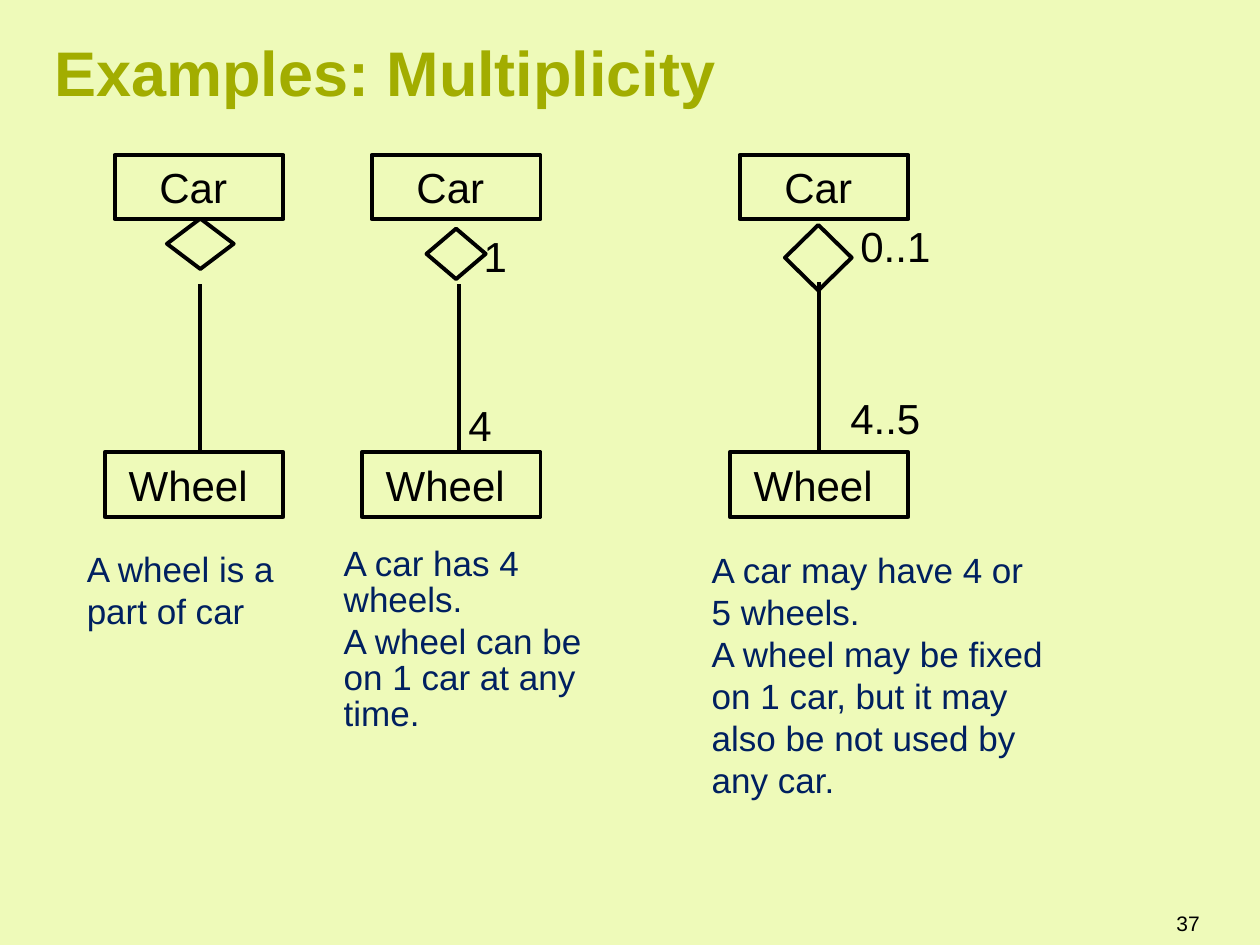
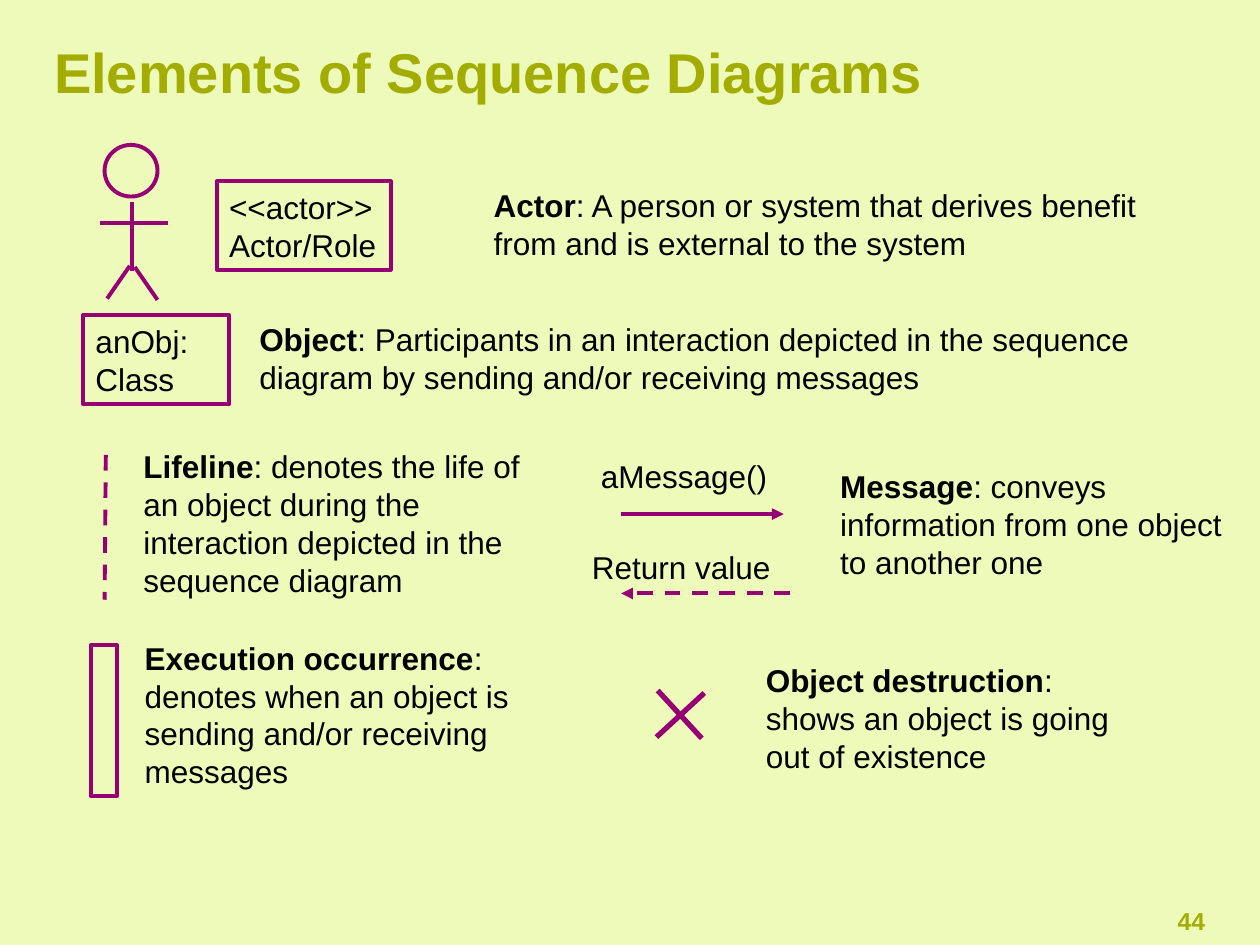
"""Build two UML slides: aggregation multiplicity and sequence diagram elements."""
from dataclasses import dataclass

from lxml import etree
from pptx import Presentation
from pptx import util as u
from pptx.dml.color import RGBColor
from pptx.enum import dml, shapes, text
from pptx.oxml.ns import qn


@dataclass(frozen=True)
class Theme:
    background: str = "EEFAB9"
    accent: str = "A2AD00"
    ink: str = "000000"
    note: str = "002060"
    symbol: str = "970074"
    font: str = "Arial"
    node_size: int = 24
    note_size: int = 20
    term_size: int = 18
    stroke: float = 2.25
    heavy_stroke: float = 3


def rgb(value):
    return RGBColor.from_string(value)


class Deck:
    """Draws styled elements on a grid of 100 columns by 75 rows."""

    def __init__(self):
        self.theme = Theme()
        self.prs = Presentation()
        self.prs.slide_width, self.prs.slide_height = u.Inches(10), u.Inches(7.5)
        fill = self.prs.slide_master.background.fill
        fill.solid()
        fill.fore_color.rgb = rgb(self.theme.background)
        self.slide = None

    def cells(self, *counts):
        return [round(count * self.prs.slide_width / 100) for count in counts]

    def style(self, frame, size, color, bold=False, align=text.PP_ALIGN.LEFT):
        for paragraph in frame.paragraphs:
            paragraph.alignment = align
            for run in paragraph.runs:
                run.font.name, run.font.size = self.theme.font, u.Pt(size)
                run.font.bold = bold
                run.font.color.rgb = rgb(color)

    def start(self, heading, size):
        self.slide = self.prs.slides.add_slide(self.prs.slide_layouts[5])
        title = self.slide.shapes.title
        title.left, title.top, title.width, title.height = self.cells(4.3, 2.1, 92.5, 7.1)
        frame = title.text_frame
        frame.text = heading
        frame.margin_left = 0
        frame.auto_size = text.MSO_AUTO_SIZE.NONE
        frame.vertical_anchor = text.MSO_ANCHOR.MIDDLE
        self.style(frame, size, self.theme.accent, bold=True)

    def label(self, place, words, size, color=None, **look):
        frame = self.slide.shapes.add_textbox(*self.cells(*place)).text_frame
        frame.word_wrap = True
        frame.text = words
        self.style(frame, size, color or self.theme.ink, **look)
        return frame

    def term(self, place, name, meaning):
        frame = self.label(place, name, self.theme.term_size)
        frame.paragraphs[0].add_run().text = f": {meaning}"
        self.style(frame, self.theme.term_size, self.theme.ink)
        frame.paragraphs[0].runs[0].font.bold = True

    def outline(self, kind, place, color):
        shape = self.slide.shapes.add_shape(kind, *self.cells(*place))
        shape.shadow.inherit = False
        shape.fill.background()
        shape.line.color.rgb = rgb(color)
        shape.line.width = u.Pt(self.theme.stroke)
        return shape

    def box(self, place, words, size, color, align=text.PP_ALIGN.LEFT):
        frame = self.outline(shapes.MSO_SHAPE.RECTANGLE, place, color).text_frame
        frame.word_wrap = True
        frame.vertical_anchor = text.MSO_ANCHOR.MIDDLE
        frame.text = words
        self.style(frame, size, self.theme.ink, align=align)

    def line(self, ends, color, width=None, dashed=False, arrow=False):
        link = self.slide.shapes.add_connector(shapes.MSO_CONNECTOR.STRAIGHT, *self.cells(*ends))
        link.line.color.rgb = rgb(color)
        link.line.width = u.Pt(width or self.theme.stroke)
        if dashed:
            link.line.dash_style = dml.MSO_LINE.DASH
        properties = link._element.spPr
        if arrow:
            etree.SubElement(properties.find(qn("a:ln")), qn("a:tailEnd"), type="triangle")
        etree.SubElement(properties, qn("a:effectLst"))


def multiplicity(deck):
    theme = deck.theme
    deck.start("Examples: Multiplicity", 36)
    examples = [
        (9.1, 15.9, (13.25, 17.35, 5.3, 4), 22.5, (18.1, 7.7), "A wheel is a part of car"),
        (29.5, 36.4, (33.85, 18.15, 4.7, 4), 22.5, (23.6, 16),
         "A car has 4 wheels.\nA wheel can be on 1 car at any time."),
        (58.7, 65, (62.3, 17.85, 5.3, 5.2), 22.4, (28.3, 21.2),
         "A car may have 4 or 5 wheels.\n"
         "A wheel may be fixed on 1 car, but it may also be not used by any car."),
    ]
    notes = []
    for left, axis, diamond, link_top, note_size, note in examples:
        for place, name in (((left, 12.3, 13.4, 5.1), "Car "),
                            ((left - 0.8, 35.9, 14.2, 5.1), "Wheel ")):
            deck.box(place, name, theme.node_size, theme.ink, text.PP_ALIGN.CENTER)
        deck.outline(shapes.MSO_SHAPE.DIAMOND, diamond, theme.ink)
        deck.line((axis, 36, axis, link_top), theme.ink)
        notes.append(deck.label((left - 3.2, 43, *note_size), note, theme.note_size, theme.note))

    tight = notes[1].paragraphs
    for paragraph in tight:
        paragraph.line_spacing = 0.85
    tight[1].space_before = u.Pt(4)

    for left, top, width, count in ((37.4, 17.8, 3.9, "1"), (36.2, 31.2, 4.7, "4"),
                                    (67.3, 17, 7.9, "0..1"), (66.5, 30.7, 8.7, "4..5")):
        deck.label((left, top, width, 5), count, theme.node_size)
    page = deck.label((80.7, 71.3, 15.5, 4), "37", 12, align=text.PP_ALIGN.RIGHT)
    page.vertical_anchor = text.MSO_ANCHOR.MIDDLE


def sequence_elements(deck):
    theme = deck.theme
    deck.start("Elements of Sequence Diagrams", 32)

    deck.outline(shapes.MSO_SHAPE.OVAL, (8.3, 11.5, 4.2, 4.1), theme.symbol)
    body, arms = (10.5, 16, 10.5, 21.5), (7.9, 17.7, 13.3, 17.7)
    left_leg, right_leg = (10.3, 21.1, 8.5, 23.7), (10.7, 21.2, 12.5, 23.8)
    for limb in (body, arms, left_leg, right_leg):
        deck.line(limb, theme.symbol)

    deck.box((17.2, 14.4, 13.8, 7), "<<actor>>\nActor/Role", theme.term_size, theme.symbol)
    deck.box((6.6, 25, 11.6, 7.1), "anObj: Class", theme.term_size, theme.symbol)
    deck.line((8.4, 36.1, 8.3, 47.6), theme.symbol, dashed=True)
    deck.outline(shapes.MSO_SHAPE.RECTANGLE, (7.2, 51.2, 2.1, 12), theme.symbol)

    deck.line((49.3, 40.8, 62.2, 40.8), theme.symbol, arrow=True)
    deck.line((62.7, 47.1, 49.3, 47.1), theme.symbol, dashed=True, arrow=True)
    deck.label((46.7, 35.8, 19.2, 4), "aMessage()", theme.term_size)
    deck.label((46, 43, 21.3, 4), "Return value", theme.term_size)

    for stroke in ((52.2, 54.8, 55.7, 58.6), (55.9, 55, 52.1, 58.5)):
        deck.line(stroke, theme.symbol, theme.heavy_stroke)

    for place, name, meaning in (
        ((38.2, 14.3, 57.2, 7), "Actor",
         "A person or system that derives benefit from and is external to the system"),
        ((19.6, 24.9, 77.7, 7.1), "Object",
         "Participants in an interaction depicted in the sequence diagram "
         "by sending and/or receiving messages"),
        ((10.4, 35, 35.1, 13.1), "Lifeline",
         "denotes the life of an object during the interaction depicted in the sequence diagram"),
        ((10.5, 50.2, 36.4, 13.1), "Execution occurrence",
         "denotes when an object is sending and/or receiving messages"),
        ((65.7, 36.6, 32.3, 10.1), "Message",
         "conveys information from one object to another one"),
        ((59.8, 52, 32.3, 10.1), "Object destruction",
         "shows an object is going out of existence"),
    ):
        deck.term(place, name, meaning)
    deck.label((91.7, 71.4, 5.7, 3.9), "44", 14, theme.accent, bold=True,
               align=text.PP_ALIGN.CENTER)


def main():
    deck = Deck()
    multiplicity(deck)
    sequence_elements(deck)
    deck.prs.save("out.pptx")


if __name__ == "__main__":
    main()
